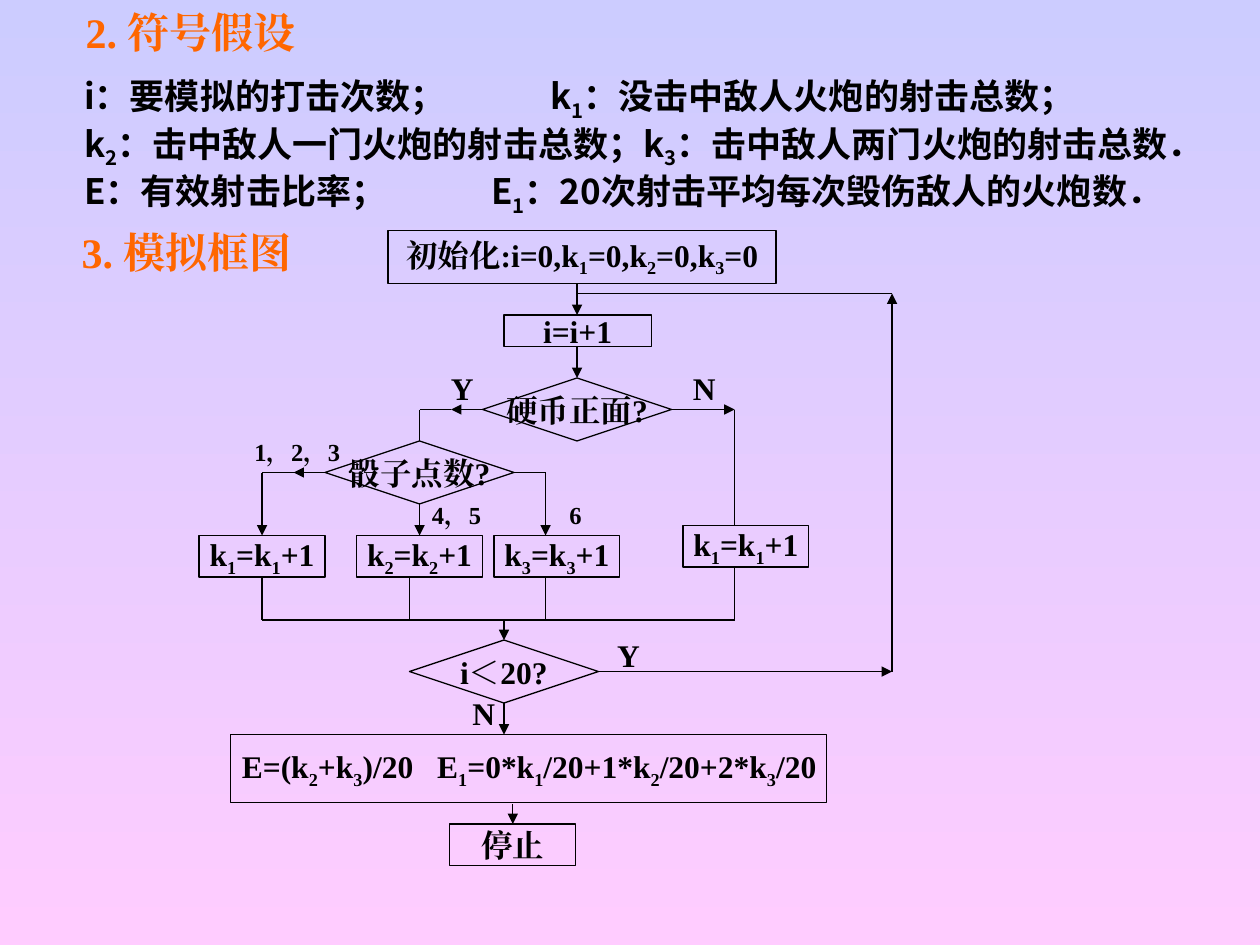
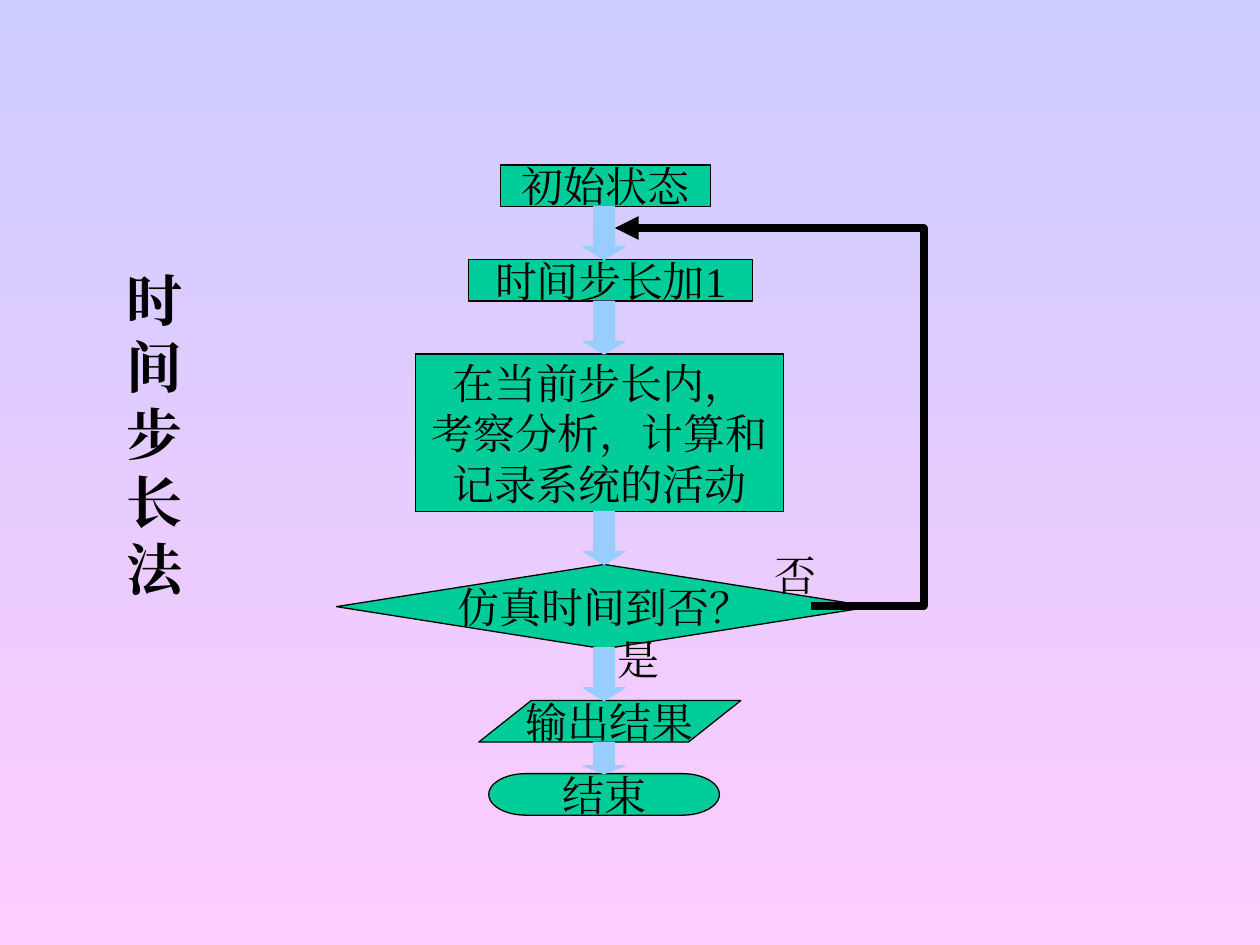
from lxml.etree import SubElement
from pptx import Presentation
from pptx.dml.color import RGBColor
from pptx.enum.lang import MSO_LANGUAGE_ID as Language
from pptx.enum.shapes import MSO_CONNECTOR as Connector, MSO_SHAPE as Preset
from pptx.enum.text import MSO_ANCHOR as Anchor, MSO_AUTO_SIZE as AutoSize, PP_ALIGN as Align
from pptx.oxml.ns import qn
from pptx.util import Inches, Pt

BLACK = RGBColor(0x00, 0x00, 0x00)
ORANGE = RGBColor(0xFF, 0x66, 0x00)
GREEN = RGBColor(0x00, 0xCC, 0x99)
LIGHT_BLUE = RGBColor(0x99, 0xCC, 0xFF)
LAVENDER = RGBColor(0xCC, 0xCC, 0xFF)
PINK = RGBColor(0xFF, 0xCC, 0xFF)
SERIF = "Times New Roman"
SANS = "Noto Sans CJK SC"
TITLE_ONLY = 5
THIN = 0.75


class FlowDeck:
    """Flow chart slides on a shared gradient; an underscore marks a subscript."""

    def __init__(self):
        self.presentation = Presentation()
        self.presentation.slide_width = Inches(10)
        self.presentation.slide_height = Inches(7.5)
        fill = self.presentation.slide_master.background.fill
        fill.gradient()
        fill.gradient_angle = 270
        for stop, color in zip(fill.gradient_stops, (LAVENDER, PINK)):
            stop.color.rgb = color
        self.slide = None
        self.size, self.bold, self.fill = 18, True, None

    def new_slide(self, size, bold, fill=None):
        layout = self.presentation.slide_layouts[TITLE_ONLY]
        self.slide = self.presentation.slides.add_slide(layout)
        self.size, self.bold, self.fill = size, bold, fill

    def add_text(self, frame, lines, size=None, bold=None, color=BLACK, font=SERIF,
                 align=Align.LEFT, tabs=()):
        for index, line in enumerate(lines.split("\n")):
            paragraph = frame.paragraphs[0] if index == 0 else frame.add_paragraph()
            paragraph.alignment = align
            if tabs:
                tab_list = SubElement(paragraph._p.get_or_add_pPr(), qn("a:tabLst"))
                SubElement(tab_list, qn("a:tab"), pos=str(Inches(tabs[index])), algn="l")
            first, *rest = line.split("_")
            pieces = [(first, False)]
            for part in rest:
                pieces += [(part[0], True), (part[1:], False)]
            for text, subscript in pieces:
                if text:
                    self.add_run(paragraph, text, subscript, size or self.size,
                                 self.bold if bold is None else bold, color, font)

    def add_run(self, paragraph, text, subscript, size, bold, color, font):
        run = paragraph.add_run()
        run.text = text
        run.font.size = Pt(size)
        run.font.bold = bold
        run.font.color.rgb = color
        run.font.name = font
        run.font.language_id = Language.SIMPLIFIED_CHINESE
        properties = run._r.get_or_add_rPr()
        SubElement(properties, qn("a:ea"), typeface=font)
        if subscript:
            properties.set("baseline", "-25000")

    def title(self, left, top, width, height, text, anchor, **style):
        shape = self.slide.shapes.title
        shape.left, shape.top = Inches(left), Inches(top)
        shape.width, shape.height = Inches(width), Inches(height)
        frame = shape.text_frame
        frame.auto_size = AutoSize.NONE
        frame.word_wrap = True
        frame.vertical_anchor = anchor
        self.add_text(frame, text, bold=True, **style)

    def label(self, left, top, width, height, text, **style):
        box = self.slide.shapes.add_textbox(
            Inches(left), Inches(top), Inches(width), Inches(height))
        box.text_frame.word_wrap = True
        self.add_text(box.text_frame, text, **style)

    def step(self, preset, left, top, width, height, text, align=Align.CENTER, tabs=()):
        shape = self.slide.shapes.add_shape(
            preset, Inches(left), Inches(top), Inches(width), Inches(height))
        self.outline(shape, self.fill)
        frame = shape.text_frame
        frame.vertical_anchor = Anchor.MIDDLE
        frame.word_wrap = bool(tabs)
        if tabs:
            frame.margin_left, frame.margin_right = Inches(0.09), 0
        self.add_text(frame, text, align=align, tabs=tabs)

    def outline(self, shape, fill, line=BLACK, width=THIN):
        shape.shadow.inherit = False
        if fill is None:
            shape.fill.background()
        else:
            shape.fill.solid()
            shape.fill.fore_color.rgb = fill
        shape.line.color.rgb = line
        shape.line.width = Pt(width)

    def arrowhead(self, shape):
        line = shape._element.spPr.find(qn("a:ln"))
        SubElement(line, qn("a:round"))
        SubElement(line, qn("a:tailEnd"), type="triangle")

    def line(self, x1, y1, x2, y2, arrow=False):
        connector = self.slide.shapes.add_connector(
            Connector.STRAIGHT, Inches(x1), Inches(y1), Inches(x2), Inches(y2))
        connector.line.color.rgb = BLACK
        connector.line.width = Pt(THIN)
        if arrow:
            self.arrowhead(connector)
        SubElement(connector._element.spPr, qn("a:effectLst"))

    def down_arrow(self, top, height, head):
        shape = self.slide.shapes.add_shape(
            Preset.DOWN_ARROW, Inches(4.63), Inches(top), Inches(0.33), Inches(height))
        shape.adjustments[1] = head
        self.outline(shape, LIGHT_BLUE, LIGHT_BLUE)

    def loop_back(self, points):
        start, *corners = [(Inches(x), Inches(y)) for x, y in points]
        builder = self.slide.shapes.build_freeform(*start)
        builder.add_line_segments(corners, close=False)
        shape = builder.convert_to_shape()
        self.outline(shape, None, width=4.5)
        self.arrowhead(shape)


def build_simulation(deck):
    deck.new_slide(size=18, bold=True)
    heading = {"size": 24, "color": ORANGE}
    deck.title(0.58, 0, 2.53, 0.5, "2. 符号假设", Anchor.TOP, **heading)
    deck.label(0.57, 0.54, 9.28, 1.24,
               "i：要模拟的打击次数；\tk_1：没击中敌人火炮的射击总数；\n"
               "k_2：击中敌人一门火炮的射击总数；k_3：击中敌人两门火炮的射击总数．\n"
               "E：有效射击比率；\tE_1：20次射击平均每次毁伤敌人的火炮数．",
               size=20, font=SANS, tabs=(3.7, 3.7, 3.23))
    deck.label(0.55, 1.75, 2.37, 0.5, "3. 模拟框图", **heading)

    deck.step(Preset.FLOWCHART_PROCESS, 3.08, 1.83, 3.08, 0.42,
              "初始化:i=0,k_1=0,k_2=0,k_3=0")
    deck.step(Preset.RECTANGLE, 4, 2.5, 1.17, 0.25, "i=i+1")
    for left, top, question in ((3.83, 3, "硬币正面?"), (2.58, 3.5, "骰子点数?"),
                                (3.25, 5.08, "i＜20?")):
        deck.step(Preset.FLOWCHART_DECISION, left, top, 1.5, 0.5, question)
    for left, top, counter in ((1.58, 4.25, 1), (2.83, 4.25, 2),
                               (3.92, 4.25, 3), (5.42, 4.17, 1)):
        deck.step(Preset.RECTANGLE, left, top, 1, 0.33, f"k_{counter}=k_{counter}+1")
    deck.step(Preset.RECTANGLE, 1.83, 5.83, 4.73, 0.54,
              "E=(k_2+k_3)/20\tE_1=0*k_1/20+1*k_2/20+2*k_3/20",
              align=Align.LEFT, tabs=(1.55,))
    deck.step(Preset.RECTANGLE, 3.57, 6.54, 1, 0.33, "停止")

    for ends in ((3.58, 3.25, 3.33, 3.25), (3.33, 3.25, 3.33, 3.5),
                 (2.33, 3.75, 2.08, 3.75), (4.08, 3.75, 4.33, 3.75),
                 (5.83, 3.25, 5.83, 4.17), (2.08, 4.92, 5.83, 4.92),
                 (5.83, 4.5, 5.83, 4.92), (4.58, 2.33, 7.08, 2.33)):
        deck.line(*ends)
    for x in (2.08, 3.25, 4.33):
        deck.line(x, 4.58, x, 4.92)
    for x, top, bottom in ((4.58, 2.25, 2.5), (4.58, 2.75, 3), (3.33, 4, 4.25),
                           (2.08, 3.75, 4.25), (4.33, 3.75, 4.25), (4, 4.92, 5.08),
                           (4, 5.58, 5.83), (7.08, 5.33, 2.33), (4.07, 6.38, 6.54)):
        deck.line(x, top, x, bottom, arrow=True)
    for y, start, end in ((3.25, 3.83, 3.58), (3.25, 5.33, 5.83),
                          (3.75, 2.58, 2.33), (5.33, 4.75, 7.08)):
        deck.line(start, y, end, y, arrow=True)

    for left, top, answer in ((3.48, 2.88, "Y"), (5.4, 2.88, "N"),
                              (3.65, 5.46, "N"), (4.8, 5, "Y")):
        deck.label(left, top, 0.38, 0.4, answer)
    for left, top, width, height, points in ((1.92, 3.42, 1, 0.57, "1，2，3"),
                                             (3.33, 3.92, 0.92, 0.34, "4，5"),
                                             (4.42, 3.92, 0.25, 0.34, "6")):
        deck.label(left, top, width, height, points, size=14)


def build_time_step(deck):
    deck.new_slide(size=24, bold=False, fill=GREEN)
    deck.title(0.83, 1.55, 0.79, 3.78, "时间步长法", Anchor.MIDDLE,
               size=32, align=Align.CENTER)
    for preset, left, top, width, height, text in (
            (Preset.RECTANGLE, 3.97, 1.31, 1.67, 0.33, "初始状态"),
            (Preset.RECTANGLE, 3.72, 2.06, 2.25, 0.33, "时间步长加1"),
            (Preset.RECTANGLE, 3.3, 2.81, 2.92, 1.25,
             "在当前步长内，\n考察分析，计算和\n记录系统的活动"),
            (Preset.FLOWCHART_DECISION, 2.67, 4.48, 4.25, 0.67, "仿真时间到否？"),
            (Preset.FLOWCHART_DATA, 3.8, 5.56, 2.08, 0.33, "输出结果"),
            (Preset.FLOWCHART_TERMINATOR, 3.88, 6.14, 1.83, 0.33, "结束")):
        deck.step(preset, left, top, width, height, text)
    for top in (1.64, 2.39, 4.06, 5.14):
        deck.down_arrow(top, 0.42, 0.31)
    deck.down_arrow(5.89, 0.25, 0.25)
    deck.loop_back(((6.44, 4.81), (7.33, 4.81), (7.33, 1.81), (4.88, 1.81)))
    deck.label(4.8, 4.98, 0.53, 0.5, "是")
    deck.label(6.05, 4.31, 0.53, 0.5, "否")


def main():
    deck = FlowDeck()
    build_simulation(deck)
    build_time_step(deck)
    deck.presentation.save("out.pptx")


if __name__ == "__main__":
    main()
